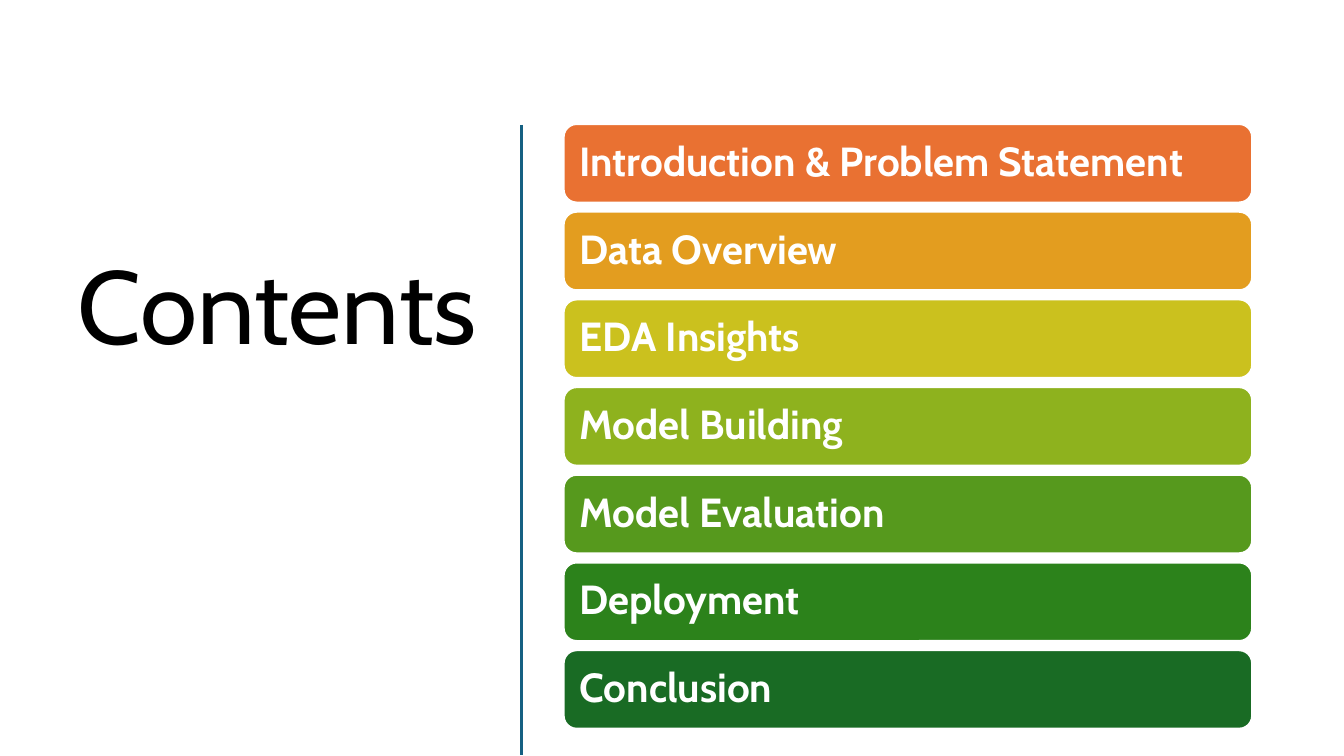
import pptx
import pptx.dml.color
import pptx.enum.shapes
import pptx.enum.text
import pptx.oxml.ns
import pptx.util
from lxml import etree

Inches = pptx.util.Inches
Pt = pptx.util.Pt

COLORS = {"text": "000000", "white": "FFFFFF", "divider": "156082"}

SECTIONS = [
    ("Introduction & Problem Statement", "E97132"),
    ("Data Overview", "E39D1F"),
    ("EDA Insights", "CBC11E"),
    ("Model Building", "8EB21E"),
    ("Model Evaluation", "56991D"),
    ("Deployment", "2C821B"),
    ("Conclusion", "196B24"),
]
BAR_TOP = 1.23
BAR_PITCH = 0.87


class ContentsSlide:
    font = "Cabin"

    def __init__(self, prs):
        self.s = prs.slides.add_slide(prs.slide_layouts[5])

    def rgb(self, value):
        return pptx.dml.color.RGBColor.from_string(value)

    def add_label(self, tf, text, size, color, align, bold=False):
        tf.word_wrap = True
        tf.auto_size = pptx.enum.text.MSO_AUTO_SIZE.NONE
        tf.vertical_anchor = pptx.enum.text.MSO_ANCHOR.MIDDLE
        p = tf.paragraphs[0]
        p.alignment = align
        p.line_spacing = 0.9
        r = p.add_run()
        r.text = text
        r.font.name = self.font
        r.font.size = Pt(size)
        r.font.bold = bold
        r.font.color.rgb = self.rgb(color)

    def title(self, text, left, top, width, height):
        sp = self.s.shapes.title
        sp.left, sp.top = Inches(left), Inches(top)
        sp.width, sp.height = Inches(width), Inches(height)
        sp.text_frame.margin_bottom = Inches(2.34)
        self.add_label(sp.text_frame, text, 74, COLORS["text"],
                       pptx.enum.text.PP_ALIGN.RIGHT)

    def divider(self, x, top, bottom):
        line = self.s.shapes.add_connector(
            pptx.enum.shapes.MSO_CONNECTOR.STRAIGHT,
            Inches(x), Inches(top), Inches(x), Inches(bottom))
        line.line.color.rgb = self.rgb(COLORS["divider"])
        line.line.width = Pt(2)
        etree.SubElement(line._element.spPr, pptx.oxml.ns.qn("a:effectLst"))

    def bar(self, text, fill, left, top, width, height):
        sp = self.s.shapes.add_shape(
            pptx.enum.shapes.MSO_SHAPE.ROUNDED_RECTANGLE,
            Inches(left), Inches(top), Inches(width), Inches(height))
        sp.shadow.inherit = False
        sp.fill.solid()
        sp.fill.fore_color.rgb = self.rgb(fill)
        sp.line.color.rgb = self.rgb(COLORS["white"])
        sp.line.width = Pt(1.5)
        tf = sp.text_frame
        tf.margin_left = tf.margin_right = Inches(0.12)
        self.add_label(tf, text, 29, COLORS["white"],
                       pptx.enum.text.PP_ALIGN.LEFT, bold=True)


def main():
    prs = pptx.Presentation()
    prs.slide_width = Inches(13.33)
    prs.slide_height = Inches(7.5)
    slide = ContentsSlide(prs)
    slide.title("Contents", 0.52, 1.17, 4.31, 6.11)
    slide.divider(5.17, 1.24, 7.49)
    for i, (text, fill) in enumerate(SECTIONS):
        slide.bar(text, fill, 5.59, BAR_TOP + i * BAR_PITCH, 6.83, 0.78)
    prs.save("out.pptx")


if __name__ == "__main__":
    main()
